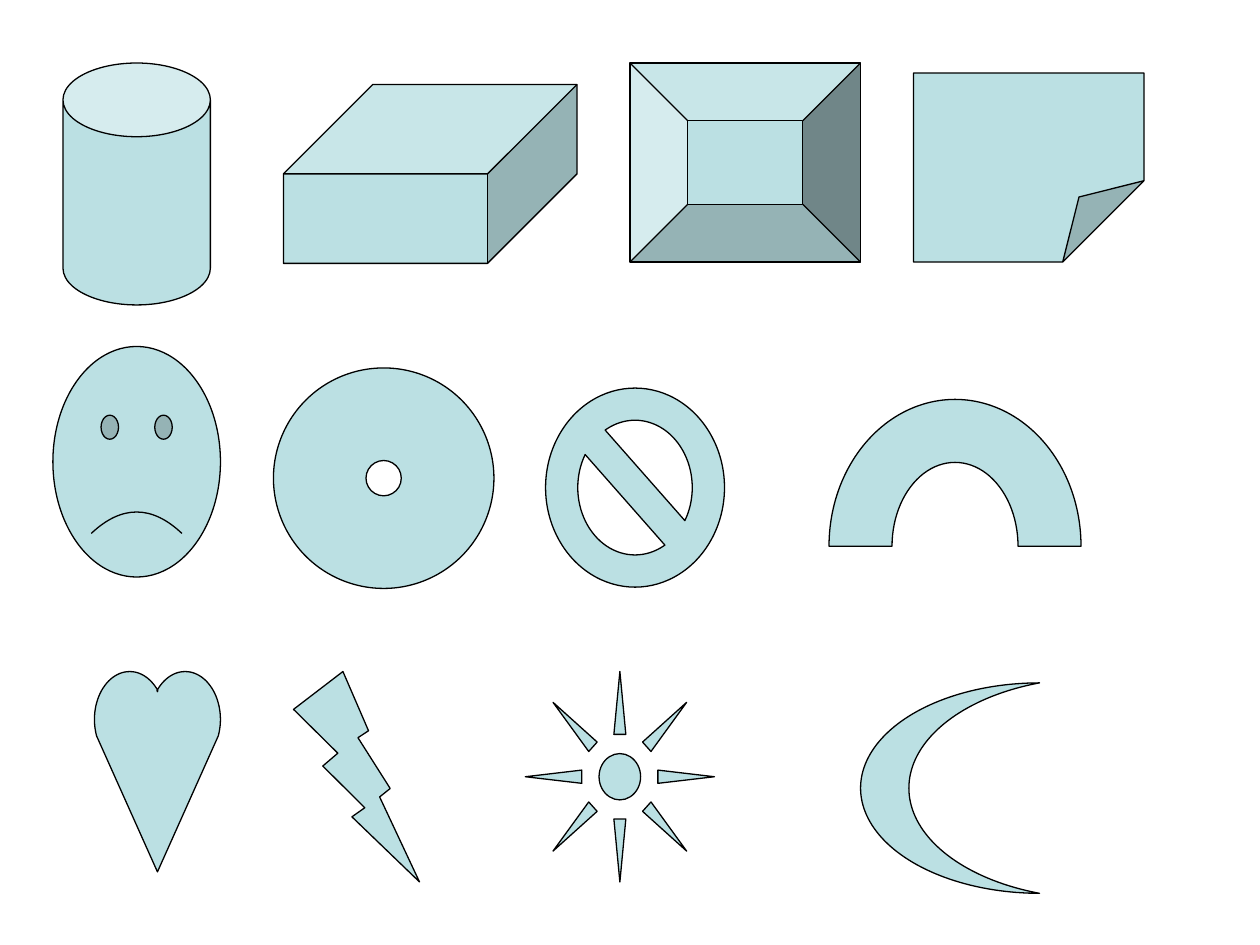
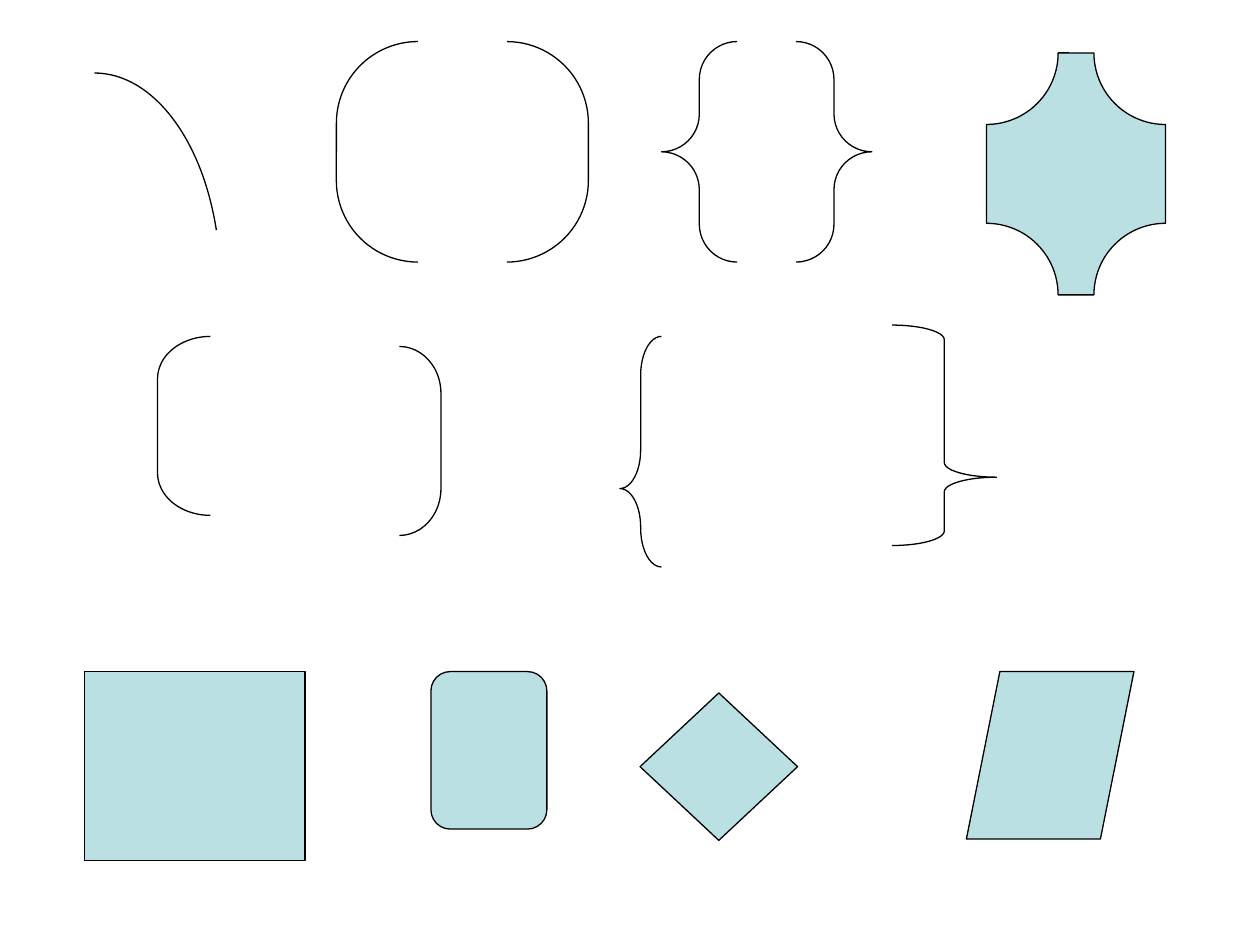
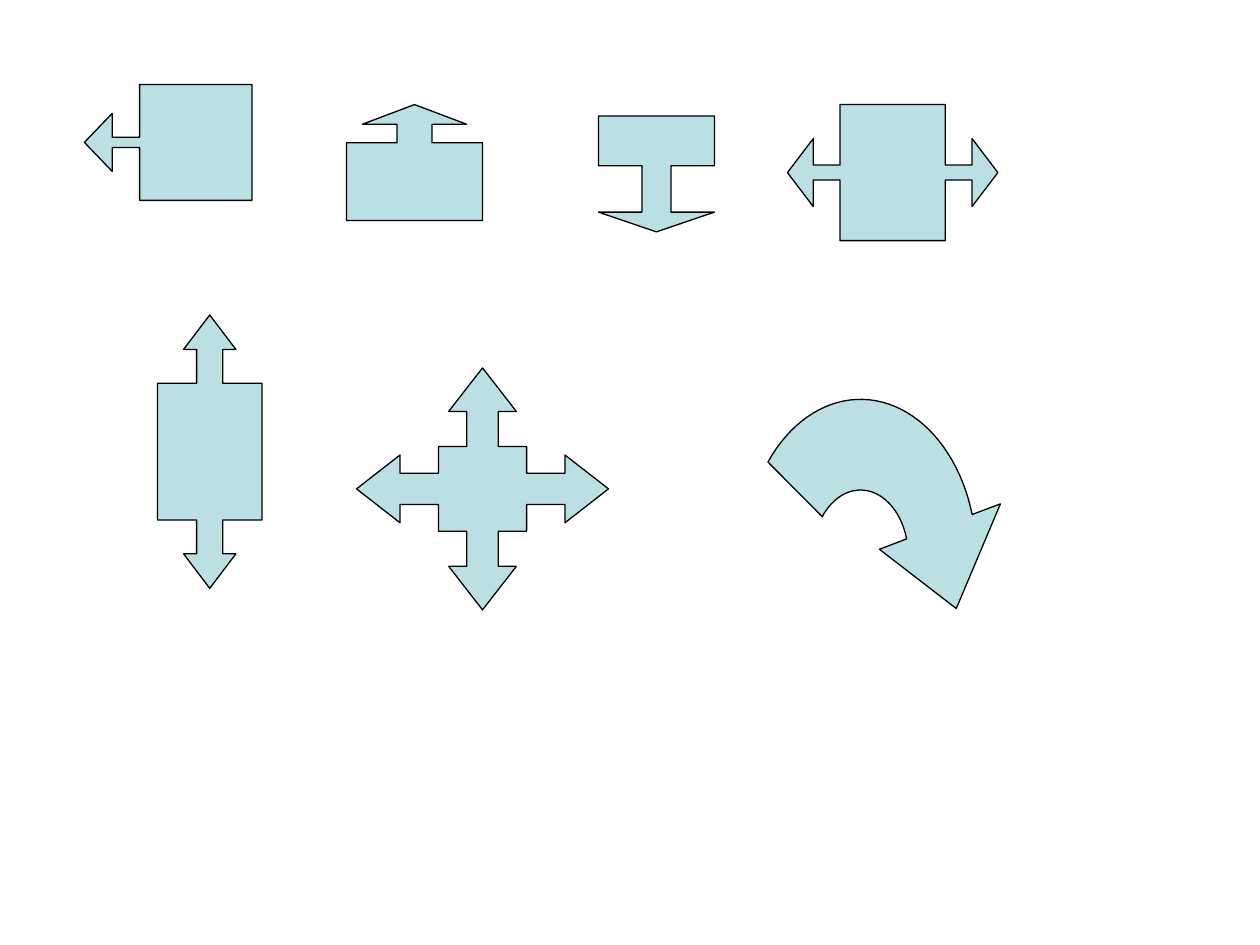
from dataclasses import dataclass
from math import cos, radians, sin

from pptx import Presentation
from pptx.dml.color import RGBColor
from pptx.enum.shapes import MSO_SHAPE as SHAPE
from pptx.util import Inches, Pt


@dataclass(frozen=True)
class Theme:
    fill: RGBColor = RGBColor(0xBB, 0xE0, 0xE3)
    line: RGBColor = RGBColor(0, 0, 0)
    line_width: int = Pt(0.75)


# Each entry: preset, (left, top, width, height) in inches, adjustments
BASIC_SHAPES = [
    (SHAPE.CAN, (0.5, 0.5, 1.17, 1.92), [0.5]),
    (SHAPE.CUBE, (2.25, 0.67, 2.33, 1.42), [0.5]),
    (SHAPE.BEVEL, (5, 0.5, 1.83, 1.58), [0.29]),
    (SHAPE.FOLDED_CORNER, (7.25, 0.58, 1.83, 1.5), [0.43]),
    (SHAPE.SMILEY_FACE, (0.42, 2.75, 1.33, 1.83), [-0.05]),
    (SHAPE.DONUT, (2.17, 2.92, 1.75, 1.75), [0.42]),
    (SHAPE.NO_SYMBOL, (4.33, 3.08, 1.42, 1.58), [0.18]),
    (SHAPE.BLOCK_ARC, (6.58, 3.17, 2, 2.33), [108, 0, 0.25]),
    (SHAPE.LIGHTNING_BOLT, (2.33, 5.33, 1, 1.67), []),
    (SHAPE.SUN, (4.17, 5.33, 1.5, 1.67), [0.39]),
    (SHAPE.MOON, (6.83, 5.42, 1.42, 1.67), [0.27]),
]

OPEN_CURVES = [
    (SHAPE.ARC, (-0.25, 0.58, 2, 3.33), [162, 202]),
    (SHAPE.DOUBLE_BRACKET, (2.67, 0.33, 2, 1.75), [0.37]),
    (SHAPE.DOUBLE_BRACE, (5.25, 0.33, 1.67, 1.75), [0.18]),
    (SHAPE.LEFT_BRACKET, (1.25, 2.67, 0.42, 1.42), [0.8]),
    (SHAPE.RIGHT_BRACKET, (3.17, 2.75, 0.33, 1.5), [1.13]),
    (SHAPE.LEFT_BRACE, (4.92, 2.67, 0.33, 1.83), [0.93, 0.66]),
    (SHAPE.RIGHT_BRACE, (7.08, 2.58, 0.83, 1.75), [0.14, 0.69]),
]

PLAQUE_AND_FLOWCHART = [
    (SHAPE.PLAQUE, (7.83, 0.42, 1.42, 1.92), [0.4]),
    (SHAPE.FLOWCHART_PROCESS, (0.67, 5.33, 1.75, 1.5), []),
    (SHAPE.FLOWCHART_ALTERNATE_PROCESS, (3.42, 5.33, 0.92, 1.25), []),
    (SHAPE.FLOWCHART_DECISION, (5.08, 5.5, 1.25, 1.17), []),
    (SHAPE.FLOWCHART_DATA, (7.67, 5.33, 1.33, 1.33), []),
]

ARROW_CALLOUTS = [
    (SHAPE.LEFT_ARROW_CALLOUT, (0.67, 0.67, 1.33, 0.92), [0.09, 0.25, 0.24, 0.67]),
    (SHAPE.UP_ARROW_CALLOUT, (2.75, 0.83, 1.08, 0.92), [0.3, 0.45, 0.17, 0.67]),
    (SHAPE.DOWN_ARROW_CALLOUT, (4.75, 0.92, 0.92, 0.92), [0.25, 0.5, 0.17, 0.43]),
    (SHAPE.LEFT_RIGHT_ARROW_CALLOUT, (6.25, 0.83, 1.67, 1.08), [0.11, 0.25, 0.19, 0.5]),
    (SHAPE.UP_DOWN_ARROW_CALLOUT, (1.25, 2.5, 0.83, 2.17), [0.25, 0.25, 0.33, 0.5]),
    (SHAPE.QUAD_ARROW_CALLOUT, (2.83, 2.92, 2, 1.92), [0.13, 0.14, 0.18, 0.35]),
]


def ellipse_points(center, radii, start, end, steps=40):
    """Points along an ellipse; angles in degrees, clockwise from the right."""
    angles = [radians(start + (end - start) * i / steps) for i in range(steps + 1)]
    return [(center[0] + radii[0] * cos(a), center[1] + radii[1] * sin(a))
            for a in angles]


def heart_points():
    lobe = (0.28, 0.38)
    return [(1.25, 6.92),
            *ellipse_points((1.03, 5.71), lobe, 160, 323),
            (1.25, 5.49),
            *ellipse_points((1.47, 5.71), lobe, 217, 380)]


def circular_arrow_points():
    center, tail, neck = (6.83, 4.42), 217, 344.4
    return [*ellipse_points(center, (0.92, 1.25), tail, neck),
            (7.94, 4), (7.59, 4.83), (6.98, 4.36),
            *ellipse_points(center, (0.38, 0.53), neck, tail)]


def adjust(shape, values):
    """Write the guides directly, as some presets list none to set."""
    names = ["adj"] if len(values) == 1 else [f"adj{i + 1}" for i in range(len(values))]
    guides = [(name, round(value * 100000)) for name, value in zip(names, values)]
    shape.element.spPr.prstGeom.rewrite_guides(guides)


class ShapeSheet:
    def __init__(self, theme):
        self.theme = theme
        self.deck = Presentation()
        self.deck.slide_width, self.deck.slide_height = Inches(10), Inches(7.5)
        self.slide = None

    def new_slide(self):
        self.slide = self.deck.slides.add_slide(self.deck.slide_layouts[6])

    def style(self, shape, filled=True):
        shape.shadow.inherit = False
        if filled:
            shape.fill.solid()
            shape.fill.fore_color.rgb = self.theme.fill
        else:
            shape.fill.background()
        shape.line.color.rgb = self.theme.line
        shape.line.width = self.theme.line_width

    def presets(self, entries, filled=True):
        for preset, box, adjustments in entries:
            shape = self.slide.shapes.add_shape(preset, *map(Inches, box))
            if adjustments:
                adjust(shape, adjustments)
            self.style(shape, filled)

    def outline(self, points):
        start, *rest = [(Inches(x), Inches(y)) for x, y in points]
        builder = self.slide.shapes.build_freeform(*start)
        builder.add_line_segments(rest, close=True)
        self.style(builder.convert_to_shape())


def main():
    sheet = ShapeSheet(Theme())

    sheet.new_slide()
    sheet.presets(BASIC_SHAPES)
    sheet.outline(heart_points())

    sheet.new_slide()
    sheet.presets(OPEN_CURVES, filled=False)
    sheet.presets(PLAQUE_AND_FLOWCHART)

    sheet.new_slide()
    sheet.presets(ARROW_CALLOUTS)
    sheet.outline(circular_arrow_points())

    sheet.deck.save("out.pptx")


if __name__ == "__main__":
    main()
